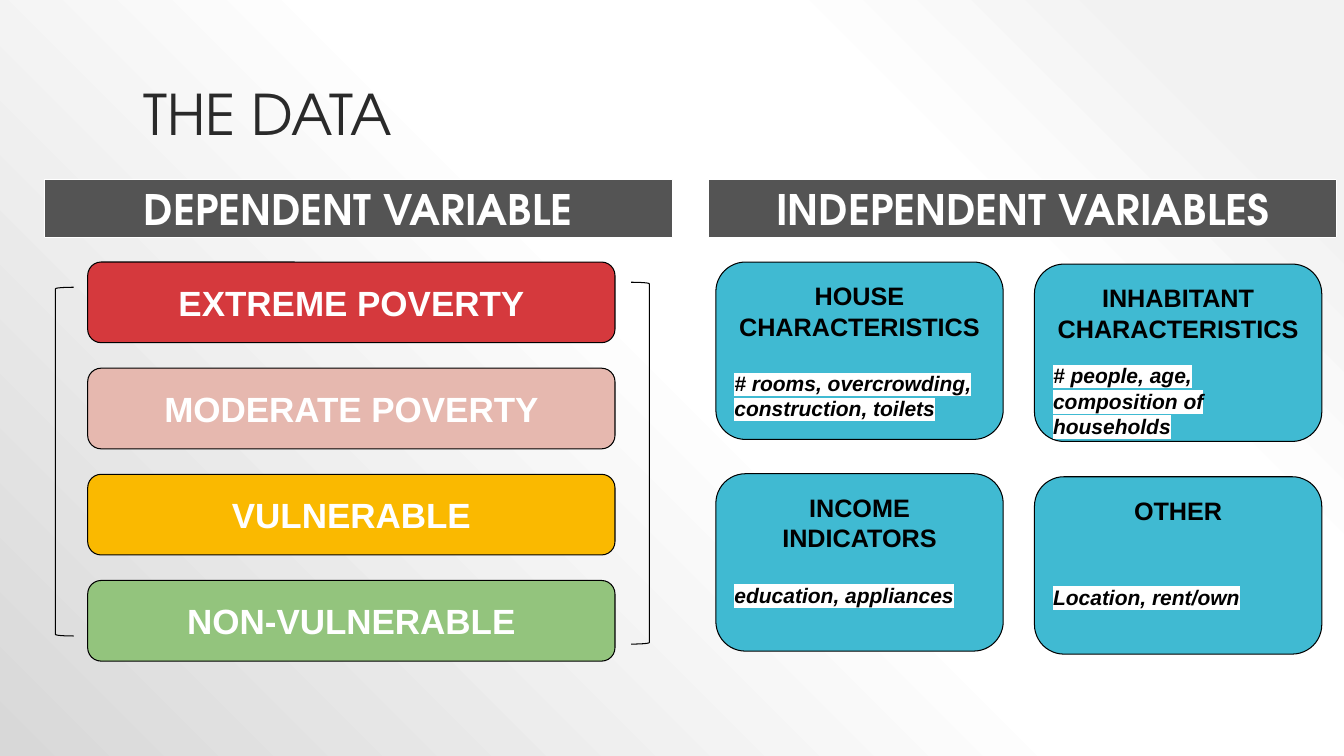
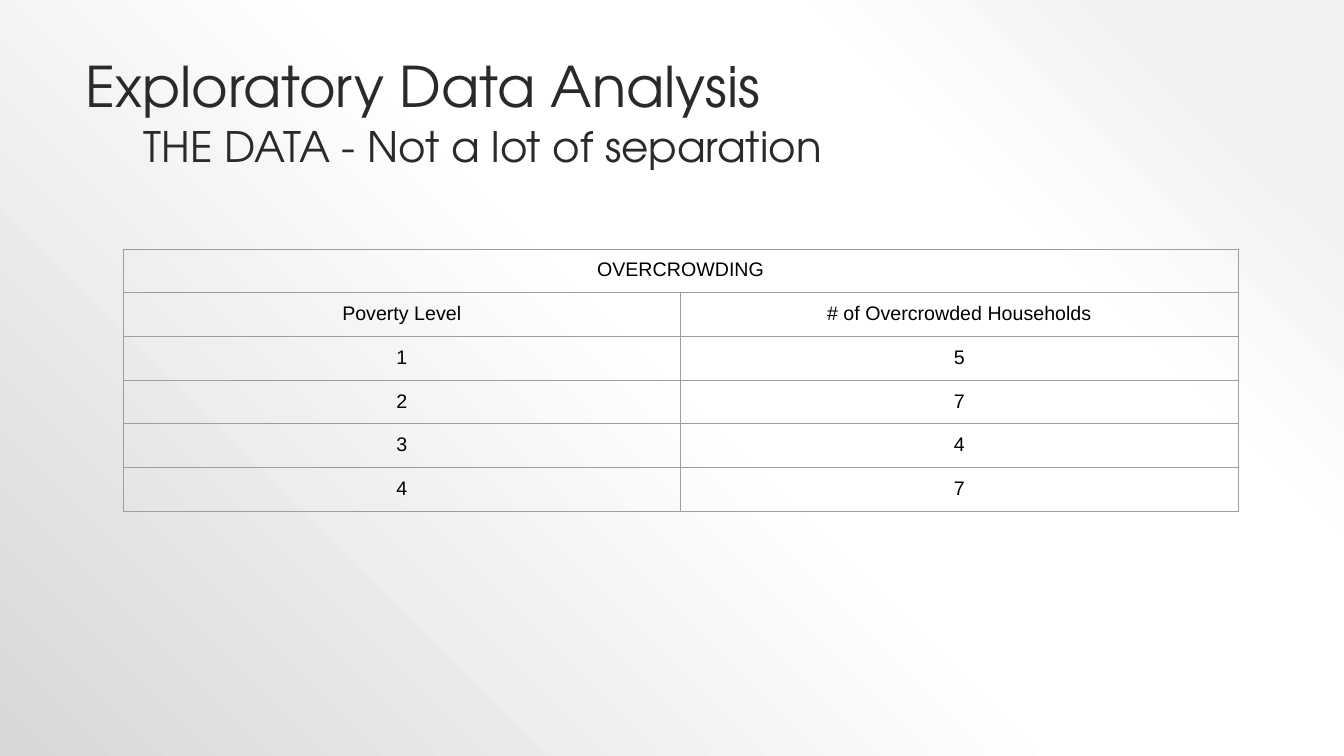
from lxml import etree
from pptx import Presentation
from pptx.dml.color import RGBColor
from pptx.enum import shapes, text
from pptx.oxml import parse_xml
from pptx.oxml.ns import qn
from pptx.util import Inches, Pt

COLORS = {
    "title": "2A2A2A", "band": "545454", "white": "FFFFFF", "black": "000000",
    "extreme": "D5393D", "moderate": "E6B8AF", "vulnerable": "FAB900",
    "safe": "93C47D", "topic": "40BAD2", "border": "9E9E9E",
}
HEADING, BODY = "TeX Gyre Adventor", "Arial"
DRAWING = "http://schemas.openxmlformats.org/drawingml/2006/main"
BACKDROP = [(0, "F2F2F2"), (10, "F2F2F2"), (28, "FFFFFF"), (48, "FFFFFF"), (100, "D8D8D8")]


def style(paragraph, size, color, font=BODY, bold=False, align=text.PP_ALIGN.CENTER):
    paragraph.alignment = align
    for run in paragraph.runs:
        run.font.name = font
        run.font.size = Pt(size)
        run.font.bold = bold
        run.font.color.rgb = RGBColor.from_string(COLORS[color])


def add_block(slide, kind, left, top, width, height, fill=None, line="black"):
    block = slide.shapes.add_shape(kind, Inches(left), Inches(top), Inches(width), Inches(height))
    block.shadow.inherit = False
    if fill:
        block.fill.solid()
        block.fill.fore_color.rgb = RGBColor.from_string(COLORS[fill])
    else:
        block.fill.background()
    block.line.color.rgb = RGBColor.from_string(COLORS[line])
    block.line.width = Pt(0.75)
    frame = block.text_frame
    frame.word_wrap = True
    frame.vertical_anchor = text.MSO_ANCHOR.MIDDLE
    frame.margin_left = frame.margin_right = frame.margin_top = frame.margin_bottom = Inches(0.1)
    return block


prs = Presentation()
prs.slide_width, prs.slide_height = Inches(13.33), Inches(7.5)

master_fill = prs.slide_master.background.fill
master_fill.gradient()
gradient = prs.slide_master.element.find(".//" + qn("p:bgPr")).find(qn("a:gradFill"))
stops = "".join(f'<a:gs pos="{pos * 1000}"><a:srgbClr val="{color}"/></a:gs>' for pos, color in BACKDROP)
gradient.getparent().replace(gradient, parse_xml(
    f'<a:gradFill xmlns:a="{DRAWING}" rotWithShape="1"><a:gsLst>{stops}</a:gsLst>'
    '<a:path path="circle"><a:fillToRect l="100000" t="0" r="0" b="100000"/></a:path></a:gradFill>'))

variables, overcrowding = [prs.slides.add_slide(prs.slide_layouts[6]) for _ in range(2)]

titles = [
    (variables, "THE DATA", 1.33, 0.31, 40),
    (overcrowding, "THE DATA - Not a lot of separation", 1.33, 0.55, 30),
    (overcrowding, "Exploratory Data Analysis", 0.75, 0.04, 40),
]
for slide, wording, left, top, size in titles:
    title = slide.shapes.add_textbox(Inches(left), Inches(top), Inches(10.67), Inches(1.2)).text_frame
    title.word_wrap = True
    title.vertical_anchor = text.MSO_ANCHOR.BOTTOM
    title.text = wording
    title.paragraphs[0].line_spacing = 0.9
    style(title.paragraphs[0], size, "title", HEADING, align=text.PP_ALIGN.LEFT)

for left, wording in [(0.44, "DEPENDENT VARIABLE"), (7.03, "INDEPENDENT VARIABLES")]:
    band = add_block(variables, shapes.MSO_SHAPE.RECTANGLE, left, 1.78, 6.23, 0.58, "band", "white")
    band.text_frame.text = wording
    style(band.text_frame.paragraphs[0], 30, "white", HEADING, bold=True)

levels = [
    ("EXTREME POVERTY", "extreme"),
    ("MODERATE POVERTY", "moderate"),
    ("VULNERABLE", "vulnerable"),
    ("NON-VULNERABLE", "safe"),
]
for row, (wording, color) in enumerate(levels):
    level = add_block(variables, shapes.MSO_SHAPE.ROUNDED_RECTANGLE, 0.87, 2.6 + row * 1.053, 5.23, 0.8, color)
    level.text_frame.text = wording
    style(level.text_frame.paragraphs[0], 25, "white", bold=True)

add_block(variables, shapes.MSO_SHAPE.LEFT_BRACKET, 0.55, 2.85, 0.18, 3.46)
add_block(variables, shapes.MSO_SHAPE.RIGHT_BRACKET, 6.26, 2.8, 0.18, 3.59)

topics = [
    ("HOUSE CHARACTERISTICS", "# rooms, overcrowding, construction, toilets", 7.1, 2.6, 21),
    ("INHABITANT CHARACTERISTICS", "# people, age, composition of households", 10.26, 2.62, 14),
    ("INCOME INDICATORS", "education, appliances", 7.1, 4.7, 21),
    ("OTHER", "Location, rent/own", 10.26, 4.73, 42),
]
for heading, examples, left, top, gap in topics:
    topic = add_block(variables, shapes.MSO_SHAPE.ROUNDED_RECTANGLE, left, top, 2.85, 1.76, "topic").text_frame
    topic.vertical_anchor = text.MSO_ANCHOR.TOP
    topic.text = f"{heading}\n{examples}"
    name, detail = topic.paragraphs
    style(name, 18, "black", bold=True)
    style(detail, 15, "black", bold=True, align=text.PP_ALIGN.LEFT)
    detail.space_before = Pt(gap)
    detail.runs[0].font.italic = True
    highlight = etree.Element(qn("a:highlight"))
    etree.SubElement(highlight, qn("a:srgbClr"), val=COLORS["white"])
    detail.runs[0].font._element.find(qn("a:solidFill")).addnext(highlight)

rows = [
    ("OVERCROWDING", ""),
    ("Poverty Level", "# of Overcrowded Households"),
    ("1", "5"), ("2", "7"), ("3", "4"), ("4", "7"),
]
table = overcrowding.shapes.add_table(
    len(rows), 2, Inches(1.22), Inches(2.47), Inches(11.06), Inches(0.417 * len(rows))).table
table.first_row = table.horz_banding = False
table.cell(0, 0).merge(table.cell(0, 1))
for row, values in enumerate(rows):
    for column, value in enumerate(values):
        cell = table.cell(row, column)
        cell.margin_left = cell.margin_right = cell.margin_top = cell.margin_bottom = Inches(0.1)
        for side in ("lnL", "lnR", "lnT", "lnB"):
            cell._tc.get_or_add_tcPr().append(parse_xml(
                f'<a:{side} xmlns:a="{DRAWING}" w="9525"><a:solidFill>'
                f'<a:srgbClr val="{COLORS["border"]}"/></a:solidFill></a:{side}>'))
        cell.fill.background()
        if value:
            cell.text_frame.text = value
            style(cell.text_frame.paragraphs[0], 14, "black")

prs.save("out.pptx")
